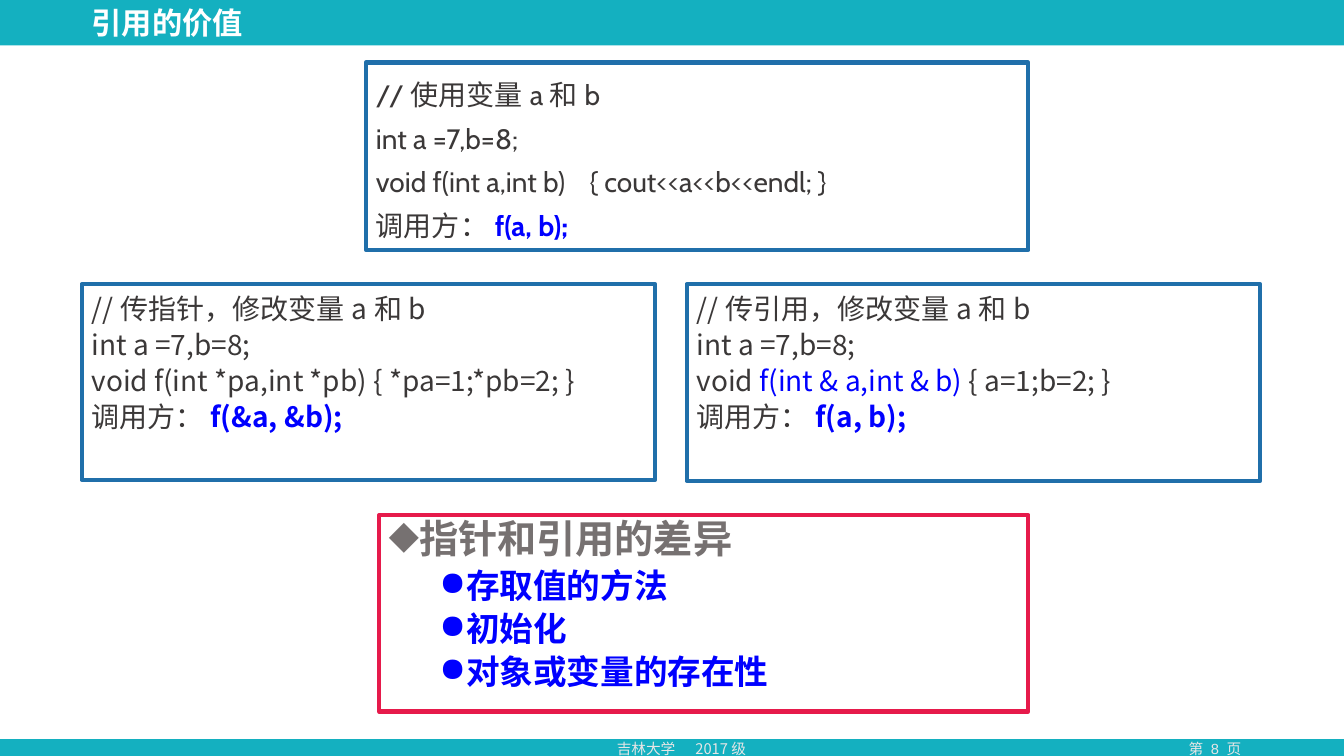
from dataclasses import dataclass
from typing import Optional

from lxml import etree
from pptx import Presentation
from pptx.dml.color import RGBColor
from pptx.enum.shapes import MSO_SHAPE as SHAPE
from pptx.enum.text import MSO_ANCHOR as ANCHOR, PP_ALIGN as ALIGN
from pptx.oxml.ns import qn
from pptx.util import Inches, Pt

TEAL = RGBColor(0x14, 0xB0, 0xC0)
WHITE = RGBColor(0xFF, 0xFF, 0xFF)
PALE = RGBColor(0xE7, 0xE6, 0xE6)
STEEL = RGBColor(0x20, 0x6F, 0xAA)
CRIMSON = RGBColor(0xE6, 0x1A, 0x4B)
DARK = RGBColor(0x3B, 0x38, 0x38)
GRAY = RGBColor(0x76, 0x71, 0x71)
BLUE = RGBColor(0x00, 0x00, 0xFF)
NOTO, CABIN, ARIAL = "Noto Sans CJK SC", "Cabin", "Arial"


@dataclass
class Span:
    text: str
    color: RGBColor = DARK
    bold: bool = False


@dataclass
class CodeBox:
    at: tuple[float, float, float, float]
    lines: list[list[Span]]
    font: str = NOTO
    spacing: float = 1.07
    tab: Optional[float] = None


@dataclass
class Bullet:
    text: str
    mark: str = "●"
    level: int = 1
    indent: float = 0.75
    size: float = 24
    color: RGBColor = BLUE
    before: float = 5


@dataclass
class Label:
    at: tuple[float, float, float, float]
    text: str
    size: float = 10.5
    font: str = NOTO
    color: RGBColor = PALE
    bold: bool = False
    align: ALIGN = ALIGN.LEFT
    anchor: ANCHOR = ANCHOR.TOP
    tab: Optional[float] = None


CODE_BOXES = [
    CodeBox((3.63, 0.62, 6.57, 1.86), [
        [Span("//使用变量a和b")],
        [Span("int a =7,b=8;")],
        [Span("void f(int a,int b)\t{ cout<<a<<b<<endl; }")],
        [Span("调用方："), Span("f(a, b);", BLUE, True)],
    ], CABIN, 1.3, 2.12),
    CodeBox((0.81, 2.82, 5.69, 1.94), [
        [Span("//传指针，修改变量a和b")],
        [Span("int a =7,b=8;")],
        [Span("void f(int *pa,int *pb) { *pa=1;*pb=2; }")],
        [Span("调用方："), Span("f(&a, &b);", BLUE, True)],
    ]),
    CodeBox((6.81, 2.82, 5.69, 1.95), [
        [Span("//传引用，修改变量a和b")],
        [Span("int a =7,b=8;")],
        [Span("void "), Span("f(int & a,int & b) ", BLUE), Span("{ a=1;b=2; }")],
        [Span("调用方："), Span("f(a, b);", BLUE, True)],
    ]),
]
BULLETS = [
    Bullet("指针和引用的差异", "◆", 0, 0.25, 28, GRAY, 10),
    Bullet("存取值的方法"),
    Bullet("初始化"),
    Bullet("对象或变量的存在性"),
]
LABELS = [
    Label((0.81, 0, 9.5, 0.44), "引用的价值", 21.6, color=WHITE, bold=True,
          anchor=ANCHOR.MIDDLE),
    Label((6.02, 7.29, 1.84, 0.28), "吉林大学\t2017级", tab=0.78),
    Label((11.32, 7.29, 1.46, 0.28), "第 8 页", font=ARIAL, align=ALIGN.CENTER),
]


def add_box(s, at, fill: Optional[RGBColor] = None, line: Optional[RGBColor] = None):
    sp = s.shapes.add_shape(SHAPE.RECTANGLE, *map(Inches, at))
    sp.shadow.inherit = False
    if fill is None:
        sp.fill.background()
    else:
        sp.fill.solid()
        sp.fill.fore_color.rgb = fill
    if line is None:
        sp.line.fill.background()
    else:
        sp.line.color.rgb = line
        sp.line.width = Pt(3)
    sp.text_frame.word_wrap = True
    sp.text_frame.vertical_anchor = ANCHOR.TOP
    return sp


def set_font(p, name: str, size: float) -> None:
    """Use one typeface for both Latin and East Asian text."""
    p.font.name, p.font.size = name, Pt(size)
    latin = p.font._element.find(qn("a:latin"))
    ea = etree.Element(qn("a:ea"), typeface=name)
    latin.addnext(ea)


def set_tab(p, position: float) -> None:
    tabs = etree.Element(qn("a:tabLst"))
    etree.SubElement(tabs, qn("a:tab"), pos=str(Inches(position)), algn="l")
    p._p.get_or_add_pPr().find(qn("a:defRPr")).addprevious(tabs)


def set_bullet(p, mark: str, indent: float) -> None:
    pPr = p._p.get_or_add_pPr()
    pPr.set("marL", str(Inches(indent)))
    pPr.set("indent", str(-Inches(0.25)))
    bullet = etree.Element(qn("a:buChar"), char=mark)
    pPr.find(qn("a:defRPr")).addprevious(bullet)


def add_code(s, box: CodeBox) -> None:
    p = add_box(s, box.at, line=STEEL).text_frame.paragraphs[0]
    p.alignment = ALIGN.LEFT
    p.line_spacing, p.space_before = box.spacing, Pt(10)
    set_font(p, box.font, 20)
    if box.tab:
        set_tab(p, box.tab)
    for i, line in enumerate(box.lines):
        if i:
            p.add_line_break()
        for span in line:
            r = p.add_run()
            r.text = span.text
            r.font.color.rgb, r.font.bold = span.color, span.bold


def add_bullets(s, at, bullets: list[Bullet]) -> None:
    tf = add_box(s, at, line=CRIMSON).text_frame
    for i, item in enumerate(bullets):
        p = tf.add_paragraph() if i else tf.paragraphs[0]
        p.text, p.level, p.alignment = item.text, item.level, ALIGN.LEFT
        p.line_spacing, p.space_before = 0.9, Pt(item.before)
        set_font(p, ARIAL, item.size)
        p.font.color.rgb, p.font.bold = item.color, True
        set_bullet(p, item.mark, item.indent)


def add_label(s, label: Label) -> None:
    tf = s.shapes.add_textbox(*map(Inches, label.at)).text_frame
    tf.word_wrap, tf.vertical_anchor = True, label.anchor
    p = tf.paragraphs[0]
    p.text, p.alignment = label.text, label.align
    set_font(p, label.font, label.size)
    p.font.color.rgb, p.font.bold = label.color, label.bold
    if label.tab:
        set_tab(p, label.tab)


def main() -> None:
    prs = Presentation()
    prs.slide_width, prs.slide_height = Inches(13.33), Inches(7.5)
    s = prs.slides.add_slide(prs.slide_layouts[6])
    add_box(s, (0, 0, 13.33, 7.5), fill=TEAL)
    add_box(s, (0, 0.45, 13.33, 6.88), fill=WHITE)
    for box in CODE_BOXES:
        add_code(s, box)
    add_bullets(s, (3.76, 5.11, 6.44, 1.95), BULLETS)
    for label in LABELS:
        add_label(s, label)
    prs.save("out.pptx")


if __name__ == "__main__":
    main()
